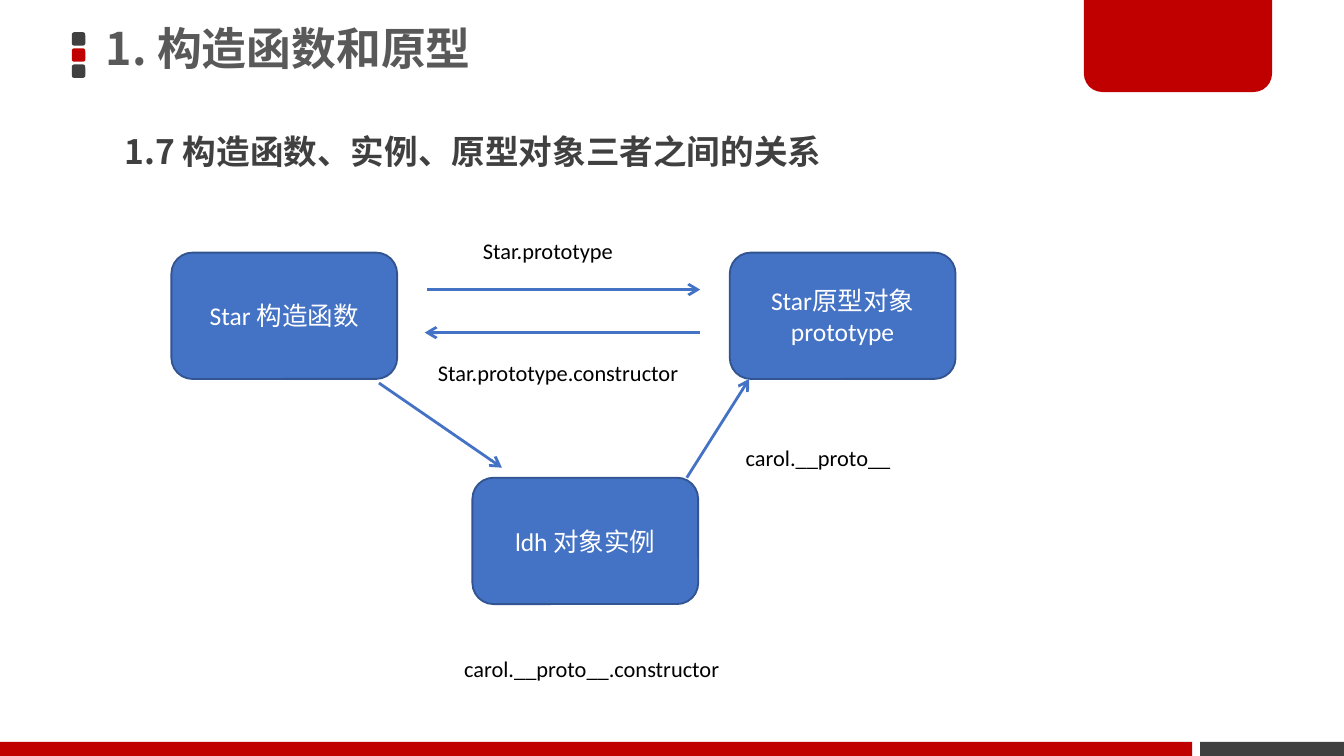
from lxml import etree
from pptx import Presentation
from pptx.dml.color import RGBColor
from pptx.enum.shapes import MSO_CONNECTOR, MSO_SHAPE
from pptx.enum.text import MSO_ANCHOR, MSO_AUTO_SIZE, PP_ALIGN
from pptx.oxml.ns import qn
from pptx.util import Emu, Pt

PX = 4572
RECT = MSO_SHAPE.RECTANGLE
ROUNDED = MSO_SHAPE.ROUNDED_RECTANGLE
TAB = MSO_SHAPE.ROUND_2_SAME_RECTANGLE
STRAIGHT = MSO_CONNECTOR.STRAIGHT
TOP, MIDDLE = MSO_ANCHOR.TOP, MSO_ANCHOR.MIDDLE
LEFT, CENTER = PP_ALIGN.LEFT, PP_ALIGN.CENTER
GROW, FIXED = MSO_AUTO_SIZE.SHAPE_TO_FIT_TEXT, MSO_AUTO_SIZE.NONE
LATIN, CJK = "Calibri", "Noto Sans CJK SC"
RED, DARK, BLUE, NAVY = "C00000", "404040", "4472C4", "325491"
SLIDE_W, SLIDE_H = 2000, 1125
NODE_W, NODE_H = 336, 188


def px(*lengths):
    """Turn pixel lengths into EMU."""
    return [Emu(length * PX) for length in lengths]


def color(value):
    """Turn a hex string into a colour."""
    return RGBColor.from_string(value)


def add_block(slide, kind, box, fill, corners=()):
    """Add a filled shape without outline or shadow."""
    block = slide.shapes.add_shape(kind, *px(*box))
    block.shadow.inherit = False
    block.fill.solid()
    block.fill.fore_color.rgb = color(fill)
    block.line.fill.background()
    for index, corner in enumerate(corners):
        block.adjustments[index] = corner
    return block


def write(paragraph, words, size, font, ink, bold=False):
    """Add one run with its Latin and East Asian fonts."""
    run = paragraph.add_run()
    run.text = words
    run.font.size = Pt(size)
    run.font.name = font
    run.font.bold = bold
    run.font.color.rgb = color(ink)
    east_asian = etree.SubElement(run.font._element, qn("a:ea"))
    east_asian.set("typeface", CJK)


def add_heading(slide, box, words, size, ink, anchor, before=0):
    """Add a bold heading in the given box."""
    heading = slide.shapes.add_textbox(*px(*box)).text_frame
    heading.word_wrap = True
    heading.auto_size = FIXED
    heading.vertical_anchor = anchor
    paragraph = heading.paragraphs[0]
    paragraph.alignment = LEFT
    paragraph.line_spacing = 0.9
    paragraph.space_before = Pt(before)
    write(paragraph, words, size, CJK, ink, True)


def add_node(slide, left, top, words):
    """Add one rounded object box of the diagram."""
    node = add_block(slide, ROUNDED, (left, top, NODE_W, NODE_H), BLUE)
    node.line.color.rgb = color(NAVY)
    node.line.width = Pt(1)
    node.text_frame.word_wrap = True
    node.text_frame.vertical_anchor = MIDDLE
    paragraph = node.text_frame.paragraphs[0]
    paragraph.alignment = CENTER
    write(paragraph, words, 13.7, LATIN, "FFFFFF")


def add_arrow(slide, *ends):
    """Add an arrow from the first point to the second."""
    arrow = slide.shapes.add_connector(STRAIGHT, *px(*ends))
    arrow.line.color.rgb = color(BLUE)
    arrow.line.width = Pt(1.5)
    etree.SubElement(arrow.line._get_or_add_ln(), qn("a:tailEnd")).set("type", "arrow")
    etree.SubElement(arrow._element.spPr, qn("a:effectLst"))


def add_label(slide, left, top, width, words):
    """Add an unwrapped relation label."""
    label = slide.shapes.add_textbox(*px(left, top, width, 60)).text_frame
    label.word_wrap = False
    label.auto_size = GROW
    write(label.paragraphs[0], words, 12, LATIN, "000000")


def add_header(slide, left, top, width):
    """Add the square bullets, the title and the red tab."""
    for row, fill in enumerate((DARK, RED, DARK)):
        add_block(slide, ROUNDED, (left + 107, top + 48 + row * 24, 20, 20), fill, (0.17,))
    add_block(slide, TAB, (left + width - 387, top, 280, 137), RED, (0, 0.2))
    add_heading(slide, (left + 138, top + 1, 1474, 150), "1. 构造函数和原型", 24, "595959", MIDDLE)


def add_footer(slide, left, top, width, height):
    """Add the red and dark bars along the bottom."""
    dark_width, gap = 214, 12
    add_block(slide, RECT, (left, top, width - dark_width - gap, height), RED)
    add_block(slide, RECT, (left + width - dark_width, top, dark_width, height), DARK)


def add_diagram(slide, left, top):
    """Add the triangle of constructor, instance and prototype."""
    for x, y, words in (
        (0, 0, "Star 构造函数"),
        (448, 335, "ldh 对象实例"),
        (831, 0, "Star原型对象prototype"),
    ):
        add_node(slide, left + x, top + y, words)
    for x1, y1, x2, y2 in (
        (309, 194, 492, 320),
        (767, 335, 860, 188),
        (787, 119, 377, 119),
        (381, 55, 787, 55),
    ):
        add_arrow(slide, left + x1, top + y1, left + x2, top + y2)
    for x, y, width, words in (
        (835, 275, 258, "carol.__proto__"),
        (377, 149, 402, "Star.prototype.constructor"),
        (444, -33, 236, "Star.prototype"),
        (416, 589, 424, "carol.__proto__.constructor"),
    ):
        add_label(slide, left + x, top + y, width, words)


def main():
    """Build and save the slide."""
    deck = Presentation()
    deck.slide_width, deck.slide_height = px(SLIDE_W, SLIDE_H)
    slide = deck.slides.add_slide(deck.slide_layouts[6])
    add_header(slide, 0, 0, SLIDE_W)
    add_footer(slide, 0, SLIDE_H - 21, SLIDE_W, 21)
    add_heading(slide, (166, 192, 1426, 118), "1.7 构造函数、实例、原型对象三者之间的关系", 18, DARK, TOP, 7.5)
    add_diagram(slide, 255, 376)
    deck.save("out.pptx")


if __name__ == "__main__":
    main()
